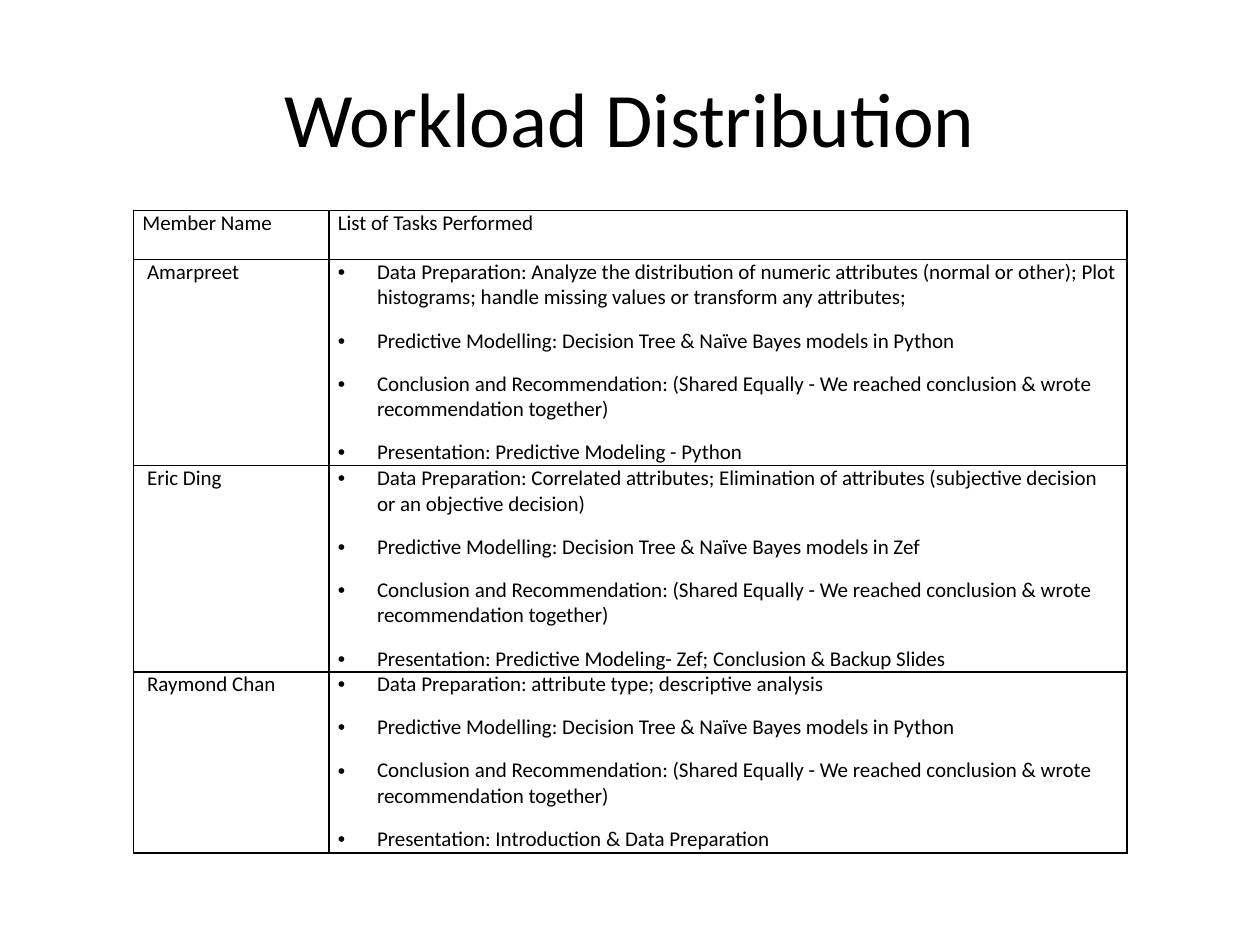
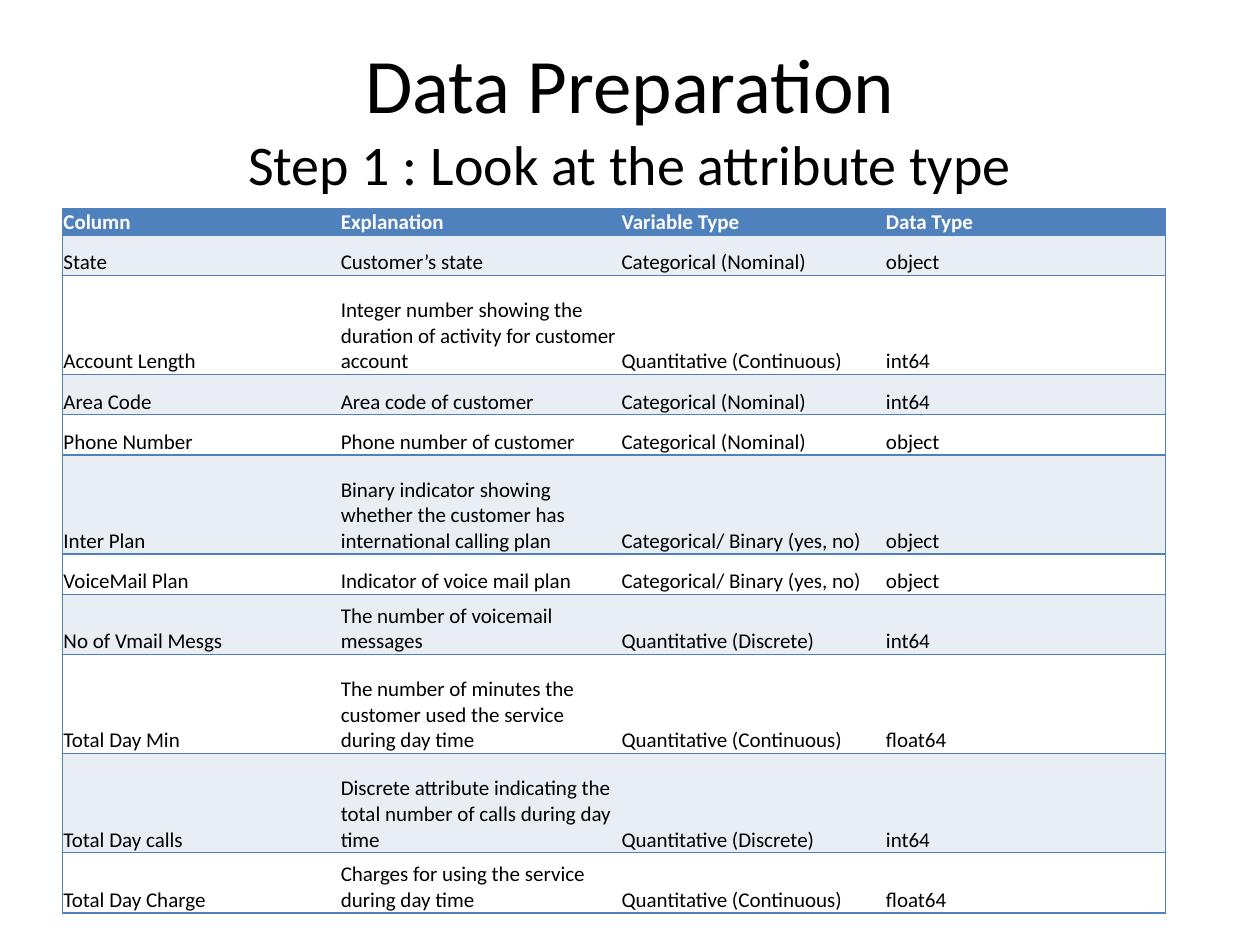
import pptx
import pptx.dml.color
import pptx.enum.text
import pptx.oxml.ns
import pptx.util
from lxml import etree

Cm = pptx.util.Cm
Pt = pptx.util.Pt
ANCHOR = pptx.enum.text.MSO_ANCHOR

# Content
WORKLOAD_TITLE = [("Workload Distribution", 44)]
PREPARATION_TITLE = [("Data Preparation", 44), ("Step 1 : Look at the attribute type", 32)]

MODELS = "Predictive Modelling: Decision Tree & Naïve Bayes models in "
CONCLUSION = ("Conclusion and Recommendation: (Shared Equally - We reached conclusion "
              "& wrote recommendation together)")
WORKLOAD = [
    ("Member Name", ["List of Tasks Performed"]),
    (" Amarpreet", [
        "Data Preparation: Analyze the distribution of numeric attributes (normal or other); "
        "Plot histograms; handle missing values or transform any attributes;",
        MODELS + "Python",
        CONCLUSION,
        "Presentation: Predictive Modeling - Python",
    ]),
    (" Eric Ding", [
        "Data Preparation: Correlated attributes; Elimination of attributes "
        "(subjective decision or an objective decision)",
        MODELS + "Zef",
        CONCLUSION,
        "Presentation: Predictive Modeling- Zef; Conclusion & Backup Slides",
    ]),
    (" Raymond Chan", [
        "Data Preparation: attribute type; descriptive analysis",
        MODELS + "Python",
        CONCLUSION,
        "Presentation: Introduction & Data Preparation",
    ]),
]

NOMINAL = "Categorical (Nominal)"
BINARY = "Categorical/ Binary (yes, no)"
CONTINUOUS = "Quantitative (Continuous)"
DISCRETE = "Quantitative (Discrete)"
ATTRIBUTES = [
    ("Column", "Explanation", "Variable Type", "Data Type"),
    ("State", "Customer’s state", NOMINAL, "object"),
    ("Account Length", "Integer number showing the duration of activity for customer account",
     CONTINUOUS, "int64"),
    ("Area Code", "Area code of customer", NOMINAL, "int64"),
    ("Phone Number", "Phone number of customer", NOMINAL, "object"),
    ("Inter Plan", "Binary indicator showing whether the customer has international calling plan",
     BINARY, "object"),
    ("VoiceMail Plan", "Indicator of voice mail plan", BINARY, "object"),
    ("No of Vmail Mesgs", "The number of voicemail messages", DISCRETE, "int64"),
    ("Total Day Min", "The number of minutes the customer used the service during day time",
     CONTINUOUS, "float64"),
    ("Total Day calls", "Discrete attribute indicating the total number of calls during day time",
     DISCRETE, "int64"),
    ("Total Day Charge", "Charges for using the service during day time", CONTINUOUS, "float64"),
]

# Shared style
COLORS = {"text": "000000", "white": "FFFFFF", "blue": "4F81BD", "band": "E9EDF4"}
FONT = "Calibri"
NO_TABLE_STYLE = "{2D5ABB26-0587-4C30-8999-92F81FD0307C}"

# Table geometry in centimetres
WORKLOAD_COLUMNS = [3.94, 16.09]
WORKLOAD_ROWS = [0.99, 4.15, 4.15, 3.65]
ATTRIBUTE_COLUMNS = [5.59, 5.66, 5.33, 5.66]
HEADER_HEIGHT = 0.54
HEIGHT_BY_LINES = {1: 0.81, 2: 1.21, 3: 2.0}
EXPLANATION_LINES = [1, 3, 1, 1, 3, 1, 2, 3, 3, 2]


def rgb(name):
    return pptx.dml.color.RGBColor.from_string(COLORS[name])


def format_run(run, size, color="text", bold=False):
    run.font.name = FONT
    run.font.size = Pt(size)
    run.font.bold = bold
    run.font.color.rgb = rgb(color)


def add_child(parent, tag, **attributes):
    return etree.SubElement(parent, pptx.oxml.ns.qn(tag), attributes)


def add_titled_slide(presentation, title_lines):
    slide = presentation.slides.add_slide(presentation.slide_layouts[5])
    title = slide.shapes.title
    title.left, title.top, title.width, title.height = Cm(1.27), Cm(0.76), Cm(22.86), Cm(3.18)
    text_frame = title.text_frame
    text_frame.auto_size = pptx.enum.text.MSO_AUTO_SIZE.NONE
    text_frame.vertical_anchor = ANCHOR.MIDDLE
    text_frame.text = "\v".join(text for text, size in title_lines)
    paragraph = text_frame.paragraphs[0]
    paragraph.alignment = pptx.enum.text.PP_ALIGN.CENTER
    for run, (text, size) in zip(paragraph.runs, title_lines):
        format_run(run, size)
    return slide


def add_plain_table(slide, left, top, columns, rows):
    frame = slide.shapes.add_table(len(rows), len(columns), Cm(left), Cm(top),
                                   Cm(sum(columns)), Cm(sum(rows)))
    table = frame.table
    table._tbl.tblPr.find(pptx.oxml.ns.qn("a:tableStyleId")).text = NO_TABLE_STYLE
    for column, width in zip(table.columns, columns):
        column.width = Cm(width)
    for row, height in zip(table.rows, rows):
        row.height = Cm(height)
    return table


def fill_cell(cell, lines, sides, border, fill, margins, anchor, color="text", bold=False):
    cell.text_frame.text = "\n".join(lines)
    for paragraph in cell.text_frame.paragraphs:
        for run in paragraph.runs:
            format_run(run, 12, color, bold)
    cell.margin_left, cell.margin_top, cell.margin_right, cell.margin_bottom = map(Cm, margins)
    cell.vertical_anchor = anchor
    # Borders come before the fill in the cell properties
    for side in sides:
        line = add_child(cell._tc.tcPr, "a:ln" + side, w=str(Pt(1)))
        solid = add_child(line, "a:solidFill")
        add_child(solid, "a:srgbClr", val=COLORS[border])
    cell.fill.solid()
    cell.fill.fore_color.rgb = rgb(fill)


def add_bullet(paragraph):
    properties = paragraph._p.get_or_add_pPr()
    properties.set("marL", str(Cm(0.79)))
    properties.set("indent", str(-Cm(0.79)))
    add_child(properties, "a:buFont", typeface="Arial")
    add_child(properties, "a:buChar", char="•")


def build_workload(presentation):
    slide = add_titled_slide(presentation, WORKLOAD_TITLE)
    table = add_plain_table(slide, 2.69, 4.24, WORKLOAD_COLUMNS, WORKLOAD_ROWS)
    for row, (member, tasks) in enumerate(WORKLOAD):
        for column, lines in enumerate(([member], tasks)):
            cell = table.cell(row, column)
            fill_cell(cell, lines, "LRTB", "text", "white", (0.18, 0, 0.18, 0), ANCHOR.TOP)
            for paragraph in cell.text_frame.paragraphs:
                paragraph.space_before = Pt(10)
                if row > 0 and column == 1:
                    add_bullet(paragraph)


def build_preparation(presentation):
    slide = add_titled_slide(presentation, PREPARATION_TITLE)
    heights = [HEADER_HEIGHT] + [HEIGHT_BY_LINES[count] for count in EXPLANATION_LINES]
    table = add_plain_table(slide, 1.26, 4.2, ATTRIBUTE_COLUMNS, heights)
    last_column = len(ATTRIBUTE_COLUMNS) - 1
    for row, values in enumerate(ATTRIBUTES):
        header = row == 0
        fill = "blue" if header else ("band" if row % 2 else "white")
        for column, value in enumerate(values):
            sides = {0: "LTB", last_column: "RTB"}.get(column, "TB")
            fill_cell(table.cell(row, column), [value], sides, "blue", fill,
                      (0.02, 0.02, 0.02, 0), ANCHOR.BOTTOM,
                      color="white" if header else "text", bold=header)


def main():
    presentation = pptx.Presentation()
    presentation.slide_width, presentation.slide_height = Cm(25.4), Cm(19.05)
    build_workload(presentation)
    build_preparation(presentation)
    presentation.save("out.pptx")


if __name__ == "__main__":
    main()
